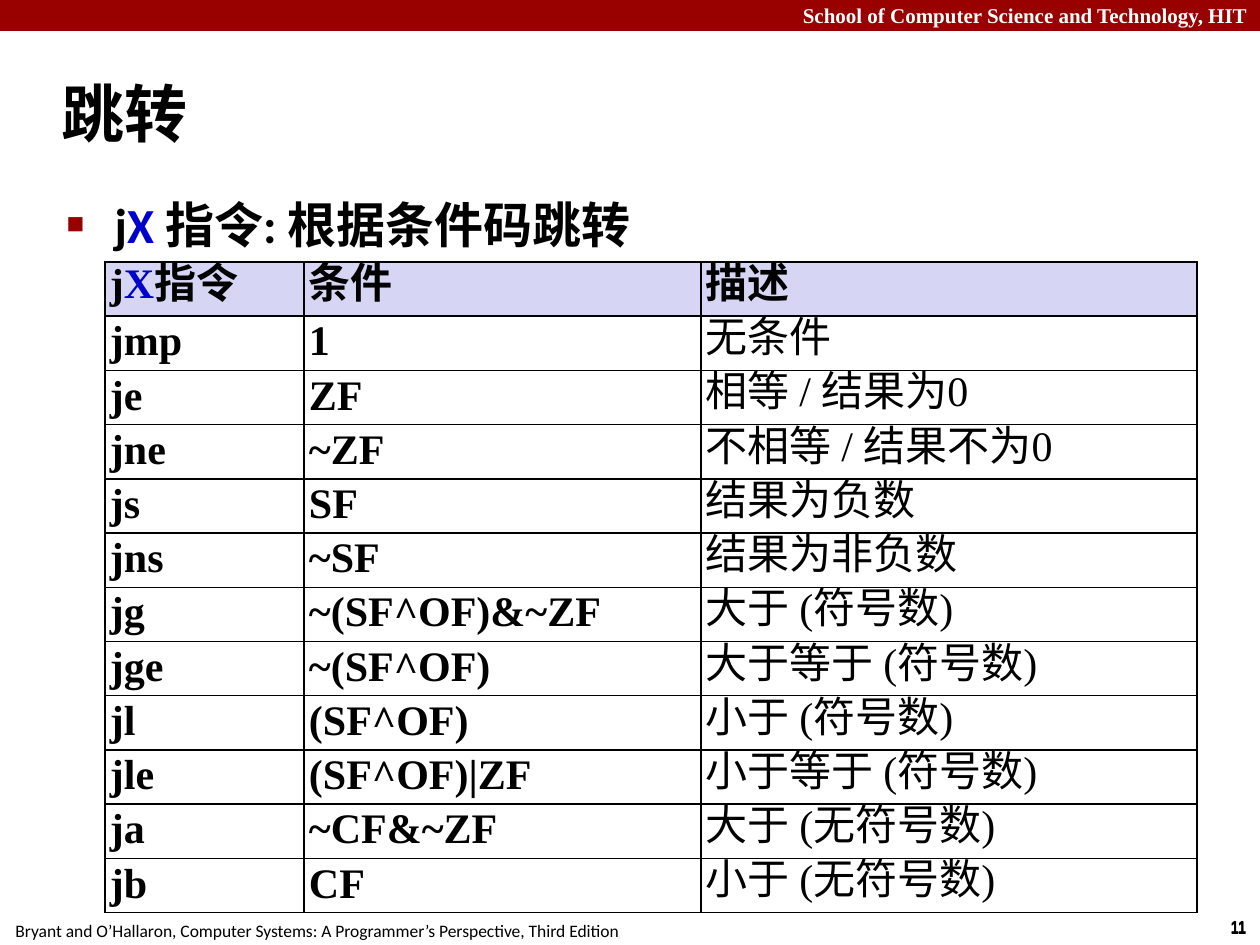
from lxml.etree import SubElement
from pptx import Presentation
from pptx.dml.color import RGBColor
from pptx.enum.shapes import MSO_SHAPE
from pptx.enum.text import MSO_ANCHOR, MSO_AUTO_SIZE, PP_ALIGN
from pptx.oxml.ns import qn
from pptx.util import Emu, Pt

PX = 914400 // 126
BLACK, WHITE, RED, BLUE, LAVENDER = "000000", "FFFFFF", "990000", "0000CC", "D6D6F4"

TITLE = "跳转"
BULLET = [("j", BLACK), ("X ", BLUE), ("指令: 根据条件码跳转", BLACK)]
HEADER = [[("j", BLACK), ("X", BLUE), ("指令", BLACK)], "条件", "描述"]
JUMPS = [
    ("jmp", "1", "无条件"),
    ("je", "ZF", "相等 / 结果为0"),
    ("jne", "~ZF", "不相等 / 结果不为0"),
    ("js", "SF", "结果为负数"),
    ("jns", "~SF", "结果为非负数"),
    ("jg", "~(SF^OF)&~ZF", "大于 (符号数)"),
    ("jge", "~(SF^OF)", "大于等于 (符号数)"),
    ("jl", "(SF^OF)", "小于 (符号数)"),
    ("jle", "(SF^OF)|ZF", "小于等于 (符号数)"),
    ("ja", "~CF&~ZF", "大于 (无符号数)"),
    ("jb", "CF", "小于 (无符号数)"),
]
TABLE_BOX = (105, 262, 1092, 651)
COLUMN_WIDTHS = (199, 397, 496)

# text, box, size, font, colour, bold, alignment, wrap
LABELS = [
    ("School of Computer Science and Technology, HIT", (0, -4, 1260, 38),
     12, "Times New Roman", WHITE, True, PP_ALIGN.RIGHT, True),
    ("11", (1217, 911, 43, 34), 10, "Arial Narrow", BLACK, True, PP_ALIGN.CENTER, False),
    ("11", (1217, 910, 43, 34), 10, "Arial Narrow", BLACK, True, PP_ALIGN.CENTER, False),
    ("Bryant and O’Hallaron, Computer Systems: A Programmer’s Perspective, Third Edition",
     (-3, 914, 640, 34), 10, "Calibri", BLACK, False, PP_ALIGN.CENTER, False),
]


def px(*lengths):
    return [Emu(length * PX) for length in lengths]


def color(hex_value):
    return RGBColor.from_string(hex_value)


def write(paragraph, content, size, font, bold, fill=BLACK):
    """Fill a paragraph from a string or from (text, colour) pieces."""
    pieces = [(content, fill)] if isinstance(content, str) else content
    for text, piece_color in pieces:
        run = paragraph.add_run()
        run.text = text
        run.font.color.rgb = color(piece_color)
    paragraph.font.size = Pt(size)
    paragraph.font.name = font
    paragraph.font.bold = bold


def place(shape, box):
    shape.left, shape.top, shape.width, shape.height = px(*box)


def set_indent(paragraph, hanging):
    properties = paragraph._p.get_or_add_pPr()
    properties.set("marL", str(hanging * PX))
    properties.set("indent", str(-hanging * PX))
    return properties


def add_bullet(properties):
    bullet_color = SubElement(properties, qn("a:buClr"))
    SubElement(bullet_color, qn("a:srgbClr"), val=RED)
    SubElement(properties, qn("a:buSzPct"), val="60000")
    SubElement(properties, qn("a:buFont"), typeface="Arial")
    SubElement(properties, qn("a:buChar"), char="■")


def add_borders(cell):
    properties = cell._tc.get_or_add_tcPr()
    for side in ("lnL", "lnR", "lnT", "lnB"):
        line = SubElement(properties, qn(f"a:{side}"), w=str(Pt(1)))
        fill = SubElement(line, qn("a:solidFill"))
        SubElement(fill, qn("a:srgbClr"), val=BLACK)


def add_label(slide, text, box, size, font, fill, bold, alignment, wrap):
    frame = slide.shapes.add_textbox(*px(*box)).text_frame
    frame.word_wrap = wrap
    frame.paragraphs[0].alignment = alignment
    write(frame.paragraphs[0], text, size, font, bold, fill)


def fill_placeholder(shape, box, anchor, content, size, hanging, bulleted):
    place(shape, box)
    frame = shape.text_frame
    frame.auto_size = MSO_AUTO_SIZE.NONE
    frame.vertical_anchor = anchor
    paragraph = frame.paragraphs[0]
    properties = set_indent(paragraph, hanging)
    if bulleted:
        add_bullet(properties)
    paragraph.alignment = PP_ALIGN.LEFT
    paragraph.space_before = Pt(0)
    write(paragraph, content, size, "Calibri", True)


def add_jump_table(slide):
    rows = [HEADER, *JUMPS]
    table = slide.shapes.add_table(len(rows), len(COLUMN_WIDTHS), *px(*TABLE_BOX)).table
    table.first_row = table.horz_banding = False
    for column, width in zip(table.columns, COLUMN_WIDTHS):
        column.width = Emu(width * PX)
    for row_index, row in enumerate(rows):
        table.rows[row_index].height = Emu(TABLE_BOX[3] * PX // len(rows))
        for column_index, content in enumerate(row):
            cell = table.cell(row_index, column_index)
            add_borders(cell)
            if row_index == 0:
                cell.fill.solid()
                cell.fill.fore_color.rgb = color(LAVENDER)
            else:
                cell.fill.background()
            cell.margin_left = cell.margin_right = Emu(5 * PX)
            cell.margin_top = cell.margin_bottom = Emu(5 * PX)
            paragraph = cell.text_frame.paragraphs[0]
            paragraph.line_spacing = Pt(25)
            bold = row_index == 0 or column_index < 2
            write(paragraph, content, 24, "Times New Roman", bold)


def main():
    presentation = Presentation()
    presentation.slide_width, presentation.slide_height = px(1260, 945)
    slide = presentation.slides.add_slide(presentation.slide_layouts[1])

    band = slide.shapes.add_shape(MSO_SHAPE.RECTANGLE, *px(0, 0, 1260, 31))
    band.shadow.inherit = False
    band.fill.solid()
    band.fill.fore_color.rgb = color(RED)
    band.line.fill.background()
    for label in LABELS:
        add_label(slide, *label)

    title, body = slide.placeholders
    fill_placeholder(title, (49, 60, 1211, 105), MSO_ANCHOR.MIDDLE, TITLE, 36, 16, False)
    fill_placeholder(body, (54, 188, 1184, 726), MSO_ANCHOR.TOP, BULLET, 28, 48, True)
    add_jump_table(slide)
    presentation.save("out.pptx")


if __name__ == "__main__":
    main()
